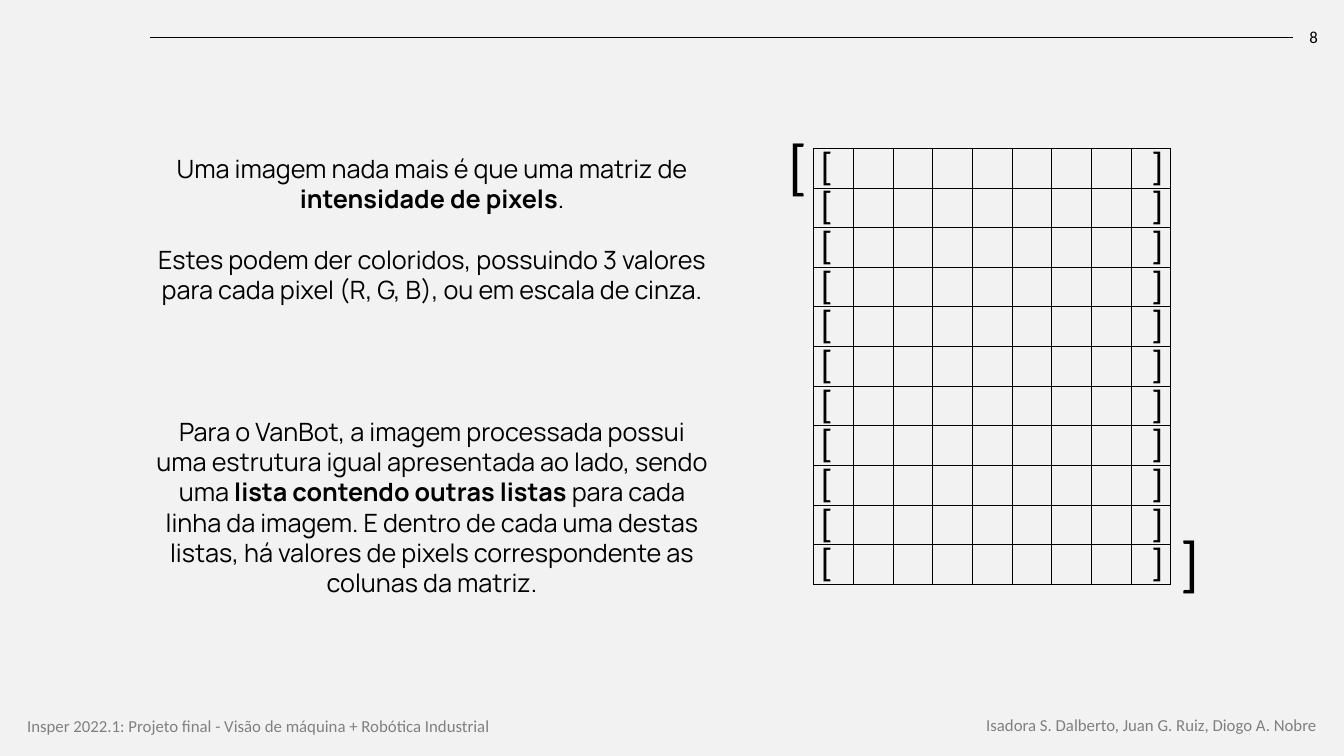
from lxml import etree
from pptx import Presentation
from pptx.dml.color import RGBColor
from pptx.enum.shapes import MSO_CONNECTOR
from pptx.enum.text import MSO_ANCHOR, PP_ALIGN
from pptx.oxml import parse_xml
from pptx.oxml.ns import nsdecls, qn
from pptx.util import Inches, Pt

BLACK = RGBColor(0x00, 0x00, 0x00)
GRAY = RGBColor(0x80, 0x80, 0x80)
BACKGROUND = RGBColor(0xF2, 0xF2, 0xF2)
ROWS, COLS = 11, 9
GRID_LEFT, GRID_TOP, GRID_WIDTH, GRID_HEIGHT = 8.07, 1.47, 3.54, 4.33

prs = Presentation()
prs.slide_width, prs.slide_height = Inches(13.33), Inches(7.5)
s = prs.slides.add_slide(prs.slide_layouts[6])
s.background.fill.solid()
s.background.fill.fore_color.rgb = BACKGROUND


def add_text(paragraphs, left, top, width, height, size=12, font="Calibri",
             color=BLACK, align=PP_ALIGN.LEFT, anchor=MSO_ANCHOR.TOP, gap=0):
    tf = s.shapes.add_textbox(Inches(left), Inches(top), Inches(width), Inches(height)).text_frame
    tf.word_wrap = True
    tf.vertical_anchor = anchor
    for i, runs in enumerate(paragraphs):
        p = tf.add_paragraph() if i else tf.paragraphs[0]
        p.alignment = align
        if i:
            p.space_before = Pt(gap)
        for text, bold in runs:
            r = p.add_run()
            r.text = text
            r.font.name, r.font.size, r.font.bold = font, Pt(size), bold
            r.font.color.rgb = color


rule = s.shapes.add_connector(MSO_CONNECTOR.STRAIGHT, Inches(1.49), Inches(0.37),
                              Inches(12.82), Inches(0.37))
rule.line.color.rgb = BLACK
rule.line.width = Pt(0.5)
etree.SubElement(rule._element.spPr, qn("a:effectLst"))

add_text([[("Insper 2022.1: Projeto final - Visão de máquina + Robótica Industrial", False)]],
         0.17, 7.05, 5.48, 0.3, color=GRAY)
add_text([[("Isadora S. Dalberto, Juan G. Ruiz, Diogo A. Nobre", False)]],
         9.31, 7.04, 3.85, 0.3, color=GRAY, align=PP_ALIGN.RIGHT)
add_text([[("8", False)]], 12.82, 0.17, 0.35, 0.4,
         align=PP_ALIGN.RIGHT, anchor=MSO_ANCHOR.MIDDLE)

table = s.shapes.add_table(ROWS, COLS, Inches(GRID_LEFT), Inches(GRID_TOP),
                           Inches(GRID_WIDTH), Inches(GRID_HEIGHT)).table
table.first_row = table.horz_banding = False
for cell in table.iter_cells():
    cell.margin_left = cell.margin_right = cell.margin_top = cell.margin_bottom = 0
    cell.text_frame.paragraphs[0].font.size = Pt(12)
    tcPr = cell._tc.get_or_add_tcPr()
    for side in ("lnL", "lnR", "lnT", "lnB"):
        tcPr.append(parse_xml(
            f'<a:{side} {nsdecls("a")} w="{Pt(0.5)}"><a:solidFill>'
            f'<a:srgbClr val="{BLACK}"/></a:solidFill></a:{side}>'))
    cell.fill.background()

add_text([[("[", False)]], 7.72, 1.21, 0.35, 0.84, size=44)
add_text([[("]", False)]], 11.61, 5.15, 0.31, 0.84, size=44)
for row in range(ROWS):
    top = 1.35 + row * GRID_HEIGHT / ROWS
    for bracket, left in (("[", 8.04), ("]", 11.32)):
        add_text([[(bracket, False)]], left, top, 0.35, 0.57, size=28)

pixels = [
    [("Uma imagem nada mais é que uma matriz de ", False),
     ("intensidade de pixels", True), (".", False)],
    [("Estes podem der coloridos, possuindo 3 valores para cada pixel (R, G, B), "
      "ou em escala de cinza.", False)],
]
lists = [
    [("Para o VanBot, a imagem processada possui uma estrutura igual apresentada ao lado, "
      "sendo uma ", False),
     ("lista contendo outras listas", True),
     (" para cada linha da imagem. E dentro de cada uma destas listas, há valores de pixels "
      "correspondente as colunas da matriz.", False)],
]
for paragraphs, top in ((pixels, 1.47), (lists, 4.08)):
    add_text(paragraphs, 1.41, top, 5.75, 1.92, size=18, font="Manrope",
             align=PP_ALIGN.CENTER, gap=21.6)

prs.save("out.pptx")
